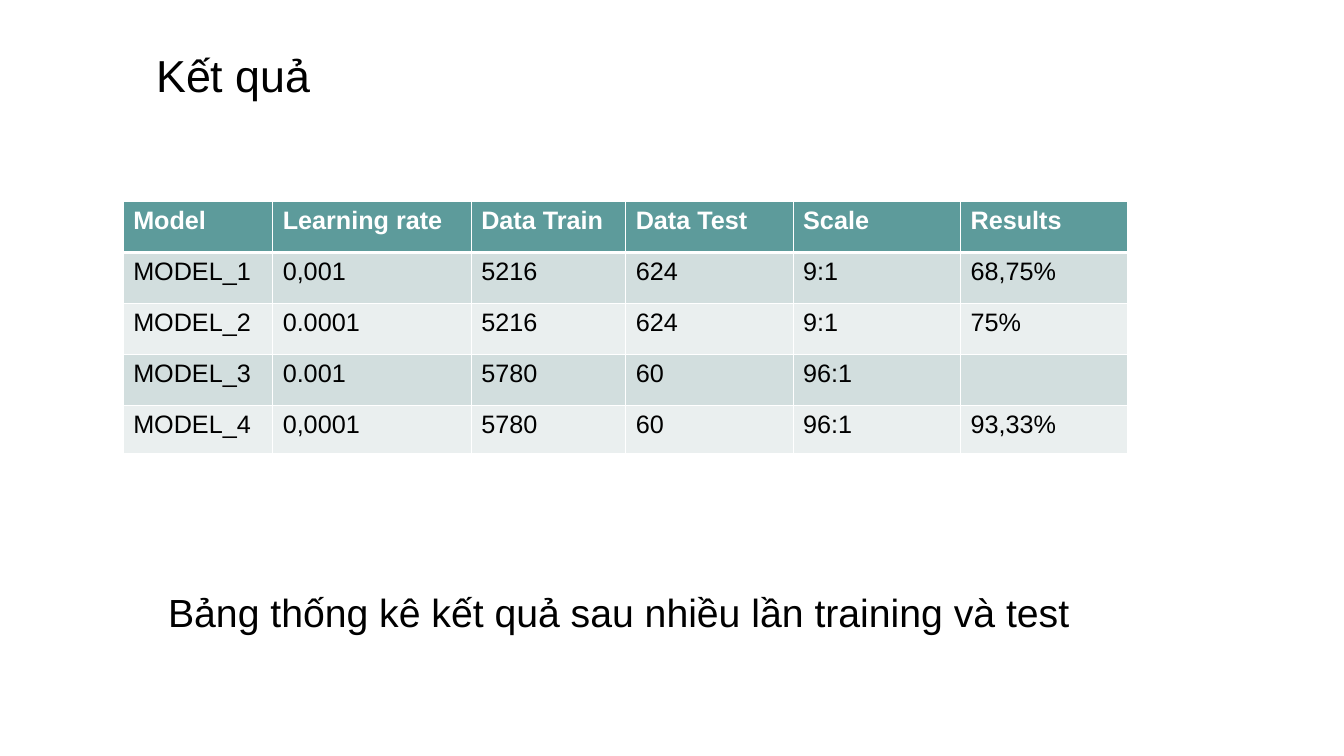
from dataclasses import dataclass

from lxml import etree
from pptx import Presentation
from pptx import util as u
from pptx.dml import color
from pptx.enum import text
from pptx.oxml import ns

Pt = u.Pt
FONT = "Arial"
COLORS = {
    "text": "000000",
    "white": "FFFFFF",
    "header": "5D9B9B",
    "odd": "D2DEDE",
    "even": "EAEFEF",
}

COL_WIDTHS = [106.8, 141.8, 110.4, 119.6, 119.6, 119.6]
ROW_HEIGHTS = [36.4] * 4 + [34.4]
RESULTS = [
    ["Model", "Learning rate", "Data Train", "Data Test", "Scale", "Results"],
    ["MODEL_1", "0,001", "5216", "624", "9:1", "68,75%"],
    ["MODEL_2", "0.0001", "5216", "624", "9:1", "75%"],
    ["MODEL_3", "0.001", "5780", "60", "96:1", ""],
    ["MODEL_4", "0,0001", "5780", "60", "96:1", "93,33%"],
]


@dataclass
class Line:
    content: str
    left: float
    top: float
    width: float
    height: float
    size: float


TITLE = Line("Kết quả", 104.4, 30.2, 134.6, 46.1, 32)
CAPTION = Line("Bảng thống kê kết quả sau nhiều lần training và test",
               113, 416.9, 666, 41, 28)


def rgb(name: str) -> color.RGBColor:
    return color.RGBColor.from_string(COLORS[name])


def add_run(p, content: str, size: float, ink: str = "text", bold: bool = False) -> None:
    r = p.add_run()
    r.text = content
    r.font.name = FONT
    r.font.size = Pt(size)
    r.font.bold = bold
    r.font.color.rgb = rgb(ink)


def fill_line(sp, line: Line) -> None:
    """Place a title or text box and write its single line."""
    sp.left, sp.top = Pt(line.left), Pt(line.top)
    sp.width, sp.height = Pt(line.width), Pt(line.height)
    tf = sp.text_frame
    tf.word_wrap = False
    tf.auto_size = text.MSO_AUTO_SIZE.SHAPE_TO_FIT_TEXT
    tf.vertical_anchor = text.MSO_ANCHOR.TOP
    p = tf.paragraphs[0]
    p.alignment = text.PP_ALIGN.LEFT
    add_run(p, line.content, line.size)


def set_borders(cell, top: float, bottom: float) -> None:
    """Draw white cell borders; the side borders are 1 pt wide."""
    tc_pr = cell._tc.get_or_add_tcPr()
    widths = {"lnL": 1, "lnR": 1, "lnT": top, "lnB": bottom}
    for i, (side, width) in enumerate(widths.items()):
        ln = etree.Element(ns.qn(f"a:{side}"), w=str(Pt(width)))
        solid = etree.SubElement(ln, ns.qn("a:solidFill"))
        etree.SubElement(solid, ns.qn("a:srgbClr"), val=COLORS["white"])
        tc_pr.insert(i, ln)


def add_results_table(s) -> None:
    table = s.shapes.add_table(
        len(RESULTS), len(COL_WIDTHS), Pt(88), Pt(143.9),
        Pt(sum(COL_WIDTHS)), Pt(sum(ROW_HEIGHTS))).table
    for column, width in zip(table.columns, COL_WIDTHS):
        column.width = Pt(width)
    for i, (row, height) in enumerate(zip(table.rows, ROW_HEIGHTS)):
        row.height = Pt(height)
        header = i == 0
        fill = "header" if header else "odd" if i % 2 else "even"
        for cell, content in zip(row.cells, RESULTS[i]):
            cell.fill.solid()
            cell.fill.fore_color.rgb = rgb(fill)
            set_borders(cell, top=3 if i == 1 else 1, bottom=3 if header else 1)
            if content:
                add_run(cell.text_frame.paragraphs[0], content, 18,
                        "white" if header else "text", header)


def main() -> None:
    prs = Presentation()
    prs.slide_width, prs.slide_height = Pt(960), Pt(540)
    s = prs.slides.add_slide(prs.slide_layouts.get_by_name("Title Only"))
    s.background.fill.solid()
    s.background.fill.fore_color.rgb = rgb("white")
    fill_line(s.shapes.title, TITLE)
    add_results_table(s)
    fill_line(s.shapes.add_textbox(0, 0, 0, 0), CAPTION)
    prs.save("out.pptx")


if __name__ == "__main__":
    main()
